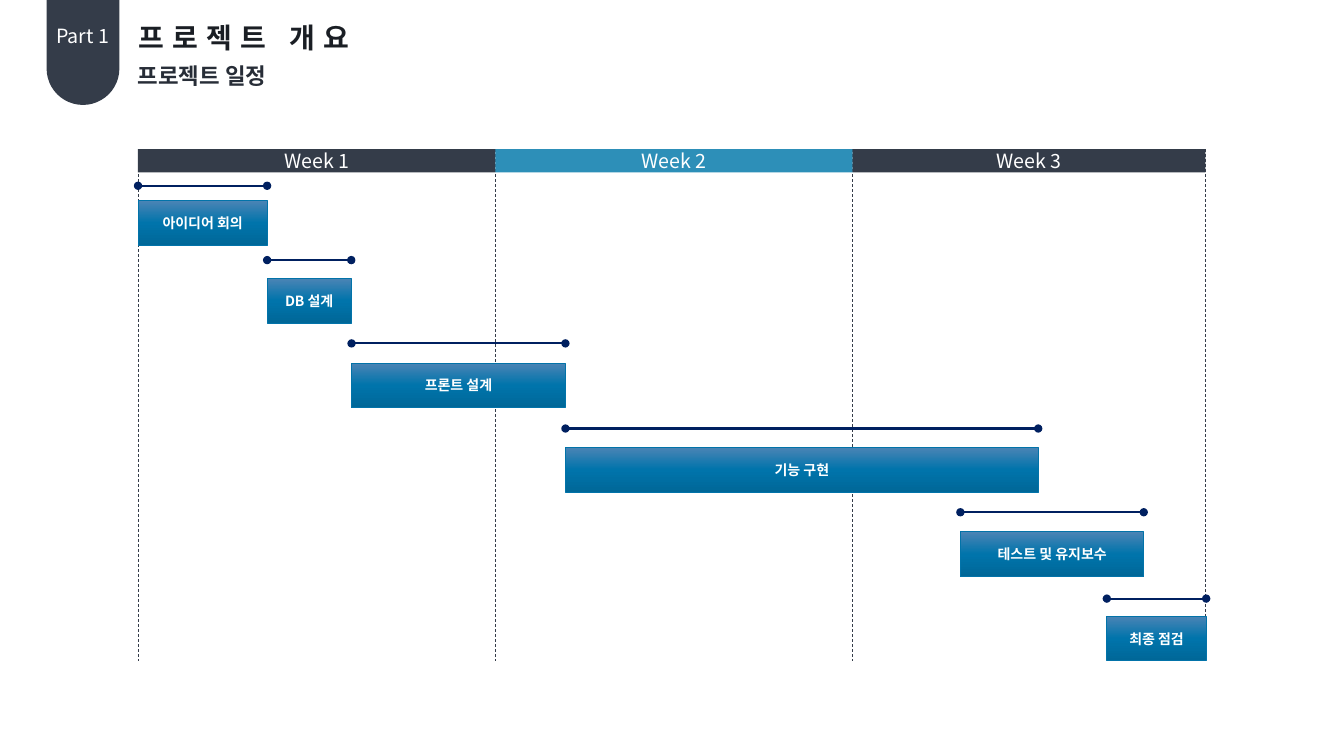
from copy import deepcopy

from lxml.etree import SubElement
from pptx import Presentation
from pptx.dml.color import RGBColor
from pptx.enum.dml import MSO_LINE_DASH_STYLE as Dash
from pptx.enum.shapes import MSO_CONNECTOR as Connector, MSO_SHAPE as Shape
from pptx.enum.text import MSO_ANCHOR as Anchor, MSO_AUTO_SIZE as AutoSize, PP_ALIGN as Align
from pptx.oxml.ns import qn
from pptx.util import Pt

FONT = "Noto Sans CJK KR"
WHITE = RGBColor(0xFF, 0xFF, 0xFF)
SLATE = RGBColor(0x34, 0x3C, 0x49)
TITLE_INK = RGBColor(0x1A, 0x1E, 0x24)
SUBTITLE_INK = RGBColor(0x27, 0x2D, 0x37)
WEEK_BLUE = RGBColor(0x2D, 0x8F, 0xB8)
TASK_EDGE = RGBColor(0x02, 0x73, 0xA9)
SPAN_NAVY = RGBColor(0x00, 0x20, 0x60)
TASK_GRADIENT = [
    (0, RGBColor(0x4B, 0x84, 0xB5)),
    (0.5, RGBColor(0x00, 0x74, 0xAB)),
    (1, RGBColor(0x00, 0x67, 0x98)),
]

CHART_TOP, CHART_BOTTOM = 106.6, 472.3
WEEK_HEIGHT, TASK_HEIGHT = 16.6, 32
WEEK_EDGES = [98.6, 353.9, 609.1, 861.1]
WEEK_COLORS = [SLATE, WEEK_BLUE, SLATE]
TASKS = [
    ("아이디어 회의", 98.6, 190.8, 132.7, 143.3),
    ("DB 설계", 190.8, 250.9, 185.8, 198.7),
    ("프론트 설계", 251.1, 403.9, 245.3, 259.2),
    ("기능 구현", 403.9, 741.6, 306.1, 319.5),
    ("테스트 및 유지보수", 686, 817, 365.9, 379.8),
    ("최종 점검", 790.6, 861.6, 427.6, 440),
]


def write(shape, text, size, color, bold=False, align=Align.CENTER, spacing=0):
    """Fill a shape with one formatted line of text."""
    paragraph = shape.text_frame.paragraphs[0]
    paragraph.text = text
    paragraph.alignment = align
    run = paragraph.runs[0]
    font = run.font
    font.size, font.bold, font.name = Pt(size), bold, FONT
    font.color.rgb = color
    properties = run._r.get_or_add_rPr()
    SubElement(properties, qn("a:ea")).set("typeface", FONT)
    if spacing:
        properties.set("spc", str(spacing * 100))


def fit_label(label, left, top, width, height):
    """Place a label that grows with its unwrapped text."""
    label.left, label.top, label.width, label.height = map(Pt, (left, top, width, height))
    frame = label.text_frame
    frame.word_wrap = False
    frame.auto_size = AutoSize.SHAPE_TO_FIT_TEXT
    frame.vertical_anchor = Anchor.TOP
    return label


def add_label(slide, left, top, width, height):
    """Add an empty label."""
    box = slide.shapes.add_textbox(0, 0, 0, 0)
    return fit_label(box, left, top, width, height)


def add_block(slide, kind, left, top, width, height, color=None):
    """Add a flat borderless shape, filled when a colour is given."""
    block = slide.shapes.add_shape(kind, *map(Pt, (left, top, width, height)))
    block.shadow.inherit = False
    block.line.fill.background()
    block.text_frame.vertical_anchor = Anchor.MIDDLE
    if color is not None:
        block.fill.solid()
        block.fill.fore_color.rgb = color
    return block


def add_line(slide, x1, y1, x2, y2, color, weight):
    """Add a straight line without a shadow."""
    line = slide.shapes.add_connector(Connector.STRAIGHT, *map(Pt, (x1, y1, x2, y2)))
    line.line.color.rgb = color
    line.line.width = Pt(weight)
    SubElement(line._element.spPr, qn("a:effectLst"))
    return line


def add_part_tab(slide):
    """Add the rounded tab that hangs from the top edge."""
    tab = add_block(slide, Shape.ROUND_2_SAME_RECTANGLE, 33.3, 0, 52, 75, SLATE)
    tab.adjustments[0], tab.adjustments[1] = 0.5, 0
    tab._element.spPr.find(qn("a:xfrm")).set("flipV", "1")
    write(add_label(slide, 32.6, 13.5, 53.3, 24.2), "Part 1", 14, WHITE)


def add_headings(slide):
    """Write the title and the subtitle."""
    title = fit_label(slide.shapes.title, 91.4, 10.8, 185, 31.5)
    write(title, "프로젝트 개요", 20, TITLE_INK, True, Align.LEFT, 6)
    subtitle = add_label(slide, 91.4, 41, 115.2, 26.7)
    write(subtitle, "프로젝트 일정", 16, SUBTITLE_INK, True, Align.LEFT)


def add_task(slide, name, start, end, span_y, bar_top):
    """Add a task bar with the span line above it."""
    bar = add_block(slide, Shape.ROUNDED_RECTANGLE, start, bar_top, end - start, TASK_HEIGHT)
    bar.adjustments[0] = 0
    bar.fill.gradient()
    bar.fill.gradient_angle = 270
    stops = bar._element.spPr.find(".//" + qn("a:gsLst"))
    stops.insert(1, deepcopy(stops[0]))
    for stop, (position, color) in zip(bar.fill.gradient_stops, TASK_GRADIENT):
        stop.position = position
        stop.color.rgb = color
    bar.line.color.rgb = TASK_EDGE
    bar.line.width = Pt(0.5)
    write(bar, name, 10, WHITE, True)

    span = add_line(slide, start, span_y, end, span_y, SPAN_NAVY, 1.5)
    outline = span._element.spPr.find(qn("a:ln"))
    for tip in ("a:headEnd", "a:tailEnd"):
        SubElement(outline, qn(tip)).set("type", "oval")


def add_weeks(slide):
    """Add the dashed week borders and the week header."""
    for edge in WEEK_EDGES:
        border = add_line(slide, edge, CHART_TOP, edge, CHART_BOTTOM, SLATE, 0.5)
        border.line.dash_style = Dash.DASH
    weeks = zip(WEEK_EDGES, WEEK_EDGES[1:], WEEK_COLORS)
    for number, (start, end, color) in enumerate(weeks, 1):
        header = add_block(slide, Shape.RECTANGLE, start, CHART_TOP, end - start, WEEK_HEIGHT, color)
        write(header, f"Week {number}", 14, WHITE)


def main():
    """Build the project schedule slide."""
    deck = Presentation()
    deck.slide_width, deck.slide_height = Pt(960), Pt(540)
    slide = deck.slides.add_slide(deck.slide_layouts[5])
    add_part_tab(slide)
    add_headings(slide)
    add_weeks(slide)
    for task in TASKS:
        add_task(slide, *task)
    deck.save("out.pptx")


if __name__ == "__main__":
    main()
